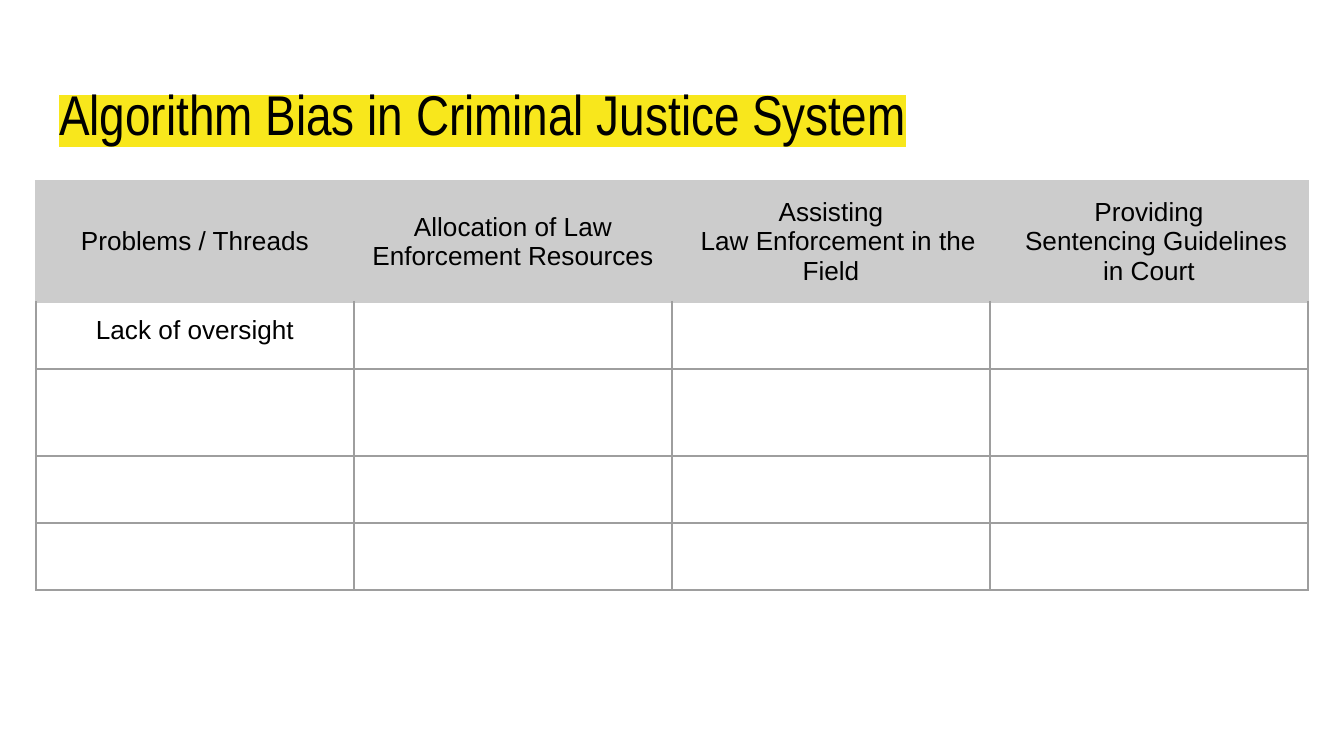
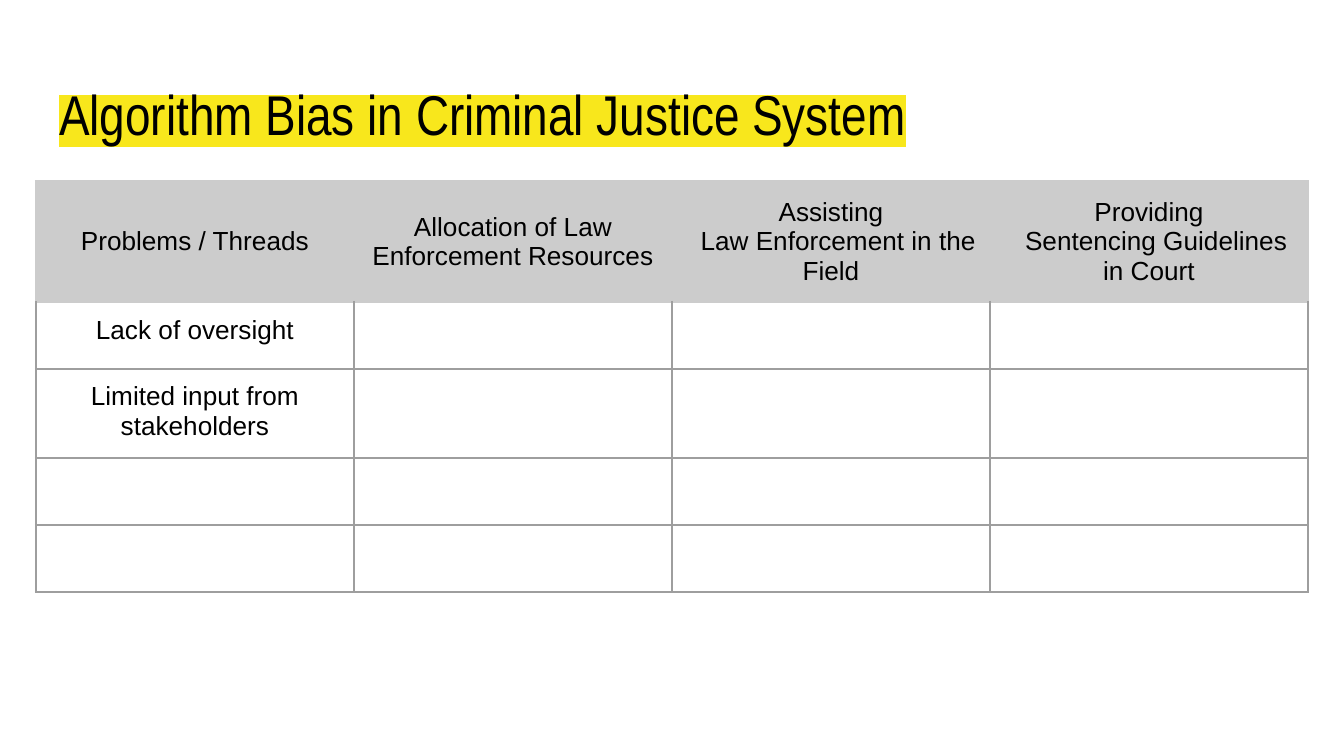
"""Build two slides on algorithm bias, each a title over a grid of problems."""
from dataclasses import dataclass

import pptx
import pptx.dml.color
import pptx.enum.text
import pptx.oxml
import pptx.oxml.ns
import pptx.util
from pptx.util import Cm


@dataclass(frozen=True)
class Theme:
    ink: str = "000000"
    mark: str = "F8E71C"
    band: str = "CCCCCC"
    rule: str = "9E9E9E"
    head: str = "Arial Narrow"
    body: str = "Arial"
    big: int = 30
    small: int = 14
    line: float = 1.5
    inset: float = 0.25
    hang: float = 0.27


@dataclass(frozen=True)
class Page:
    rows: tuple[float, ...]
    items: tuple[str, ...]


THEME = Theme()
ALIGN = pptx.enum.text.PP_ALIGN
ANCHOR = pptx.enum.text.MSO_ANCHOR
TITLE = "Algorithm Bias in Criminal Justice System"
HEADS = (
    "Problems / Threads",
    "Allocation of Law Enforcement Resources",
    "Assisting\nLaw Enforcement in the Field",
    "Providing\nSentencing Guidelines in Court",
)
WIDTH = 6.01
PAGES = (
    Page((1.07, 1.09, 1.65, 1.07, 1.07), ("Lack of oversight",)),
    Page((1.07, 1.09, 1.07, 1.07, 1.07),
         ("Lack of oversight", "Limited input from stakeholders")),
)


def rgb(code: str) -> pptx.dml.color.RGBColor:
    return pptx.dml.color.RGBColor.from_string(code)


def style(para, face: str, size: int) -> None:
    para.font.name = face
    para.font.size = pptx.util.Pt(size)
    para.font.color.rgb = rgb(THEME.ink)


def pad(box) -> None:
    box.margin_left = box.margin_right = Cm(THEME.inset)
    box.margin_top = box.margin_bottom = Cm(THEME.inset)


def add_title(slide) -> None:
    frame = slide.shapes.add_textbox(
        Cm(0.87), Cm(1.25), Cm(23.67), Cm(1.6)).text_frame
    frame.word_wrap = True
    frame.vertical_anchor = ANCHOR.TOP
    pad(frame)
    para = frame.paragraphs[0]
    para.text = TITLE
    style(para, THEME.head, THEME.big)
    props = para.runs[0].font._element
    props.append(pptx.oxml.parse_xml(
        f'<a:highlight {pptx.oxml.ns.nsdecls("a")}>'
        f'<a:srgbClr val="{THEME.mark}"/></a:highlight>'))


def edge(cell, top: str, rest: str) -> None:
    props = cell._tc.get_or_add_tcPr()
    for spot, side in enumerate("LRTB"):
        tone = top if side == "T" else rest
        props.insert(spot, pptx.oxml.parse_xml(
            f'<a:ln{side} {pptx.oxml.ns.nsdecls("a")} w="{pptx.util.Pt(THEME.line)}">'
            f'<a:solidFill><a:srgbClr val="{tone}"/></a:solidFill></a:ln{side}>'))


def write(cell, text: str) -> None:
    cell.text = text
    for spot, para in enumerate(cell.text_frame.paragraphs):
        para.alignment = ALIGN.CENTER
        if spot:
            props = para._p.get_or_add_pPr()
            props.set("marL", "0")
            props.set("indent", str(Cm(THEME.hang)))
        style(para, THEME.body, THEME.small)


def add_grid(slide, page: Page) -> None:
    table = slide.shapes.add_table(
        len(page.rows), len(HEADS), Cm(0.68), Cm(3.43),
        Cm(WIDTH * len(HEADS)), Cm(sum(page.rows))).table
    table.first_row = table.horz_banding = False
    for col in table.columns:
        col.width = Cm(WIDTH)
    for row, tall in zip(table.rows, page.rows):
        row.height = Cm(tall)
    for row, line in enumerate(table.rows):
        for cell in line.cells:
            pad(cell)
            if row == 0:
                cell.vertical_anchor = ANCHOR.MIDDLE
                cell.fill.solid()
                cell.fill.fore_color.rgb = rgb(THEME.band)
            else:
                cell.fill.background()
            edge(cell, THEME.band if row < 2 else THEME.rule,
                 THEME.rule if row else THEME.band)
    for col, text in enumerate(HEADS):
        write(table.cell(0, col), text)
    for row, text in enumerate(page.items, 1):
        write(table.cell(row, 0), text)


def main() -> None:
    deck = pptx.Presentation()
    deck.slide_width, deck.slide_height = Cm(25.4), Cm(14.29)
    for page in PAGES:
        slide = deck.slides.add_slide(deck.slide_layouts[6])
        add_title(slide)
        add_grid(slide, page)
    deck.save("out.pptx")


if __name__ == "__main__":
    main()
